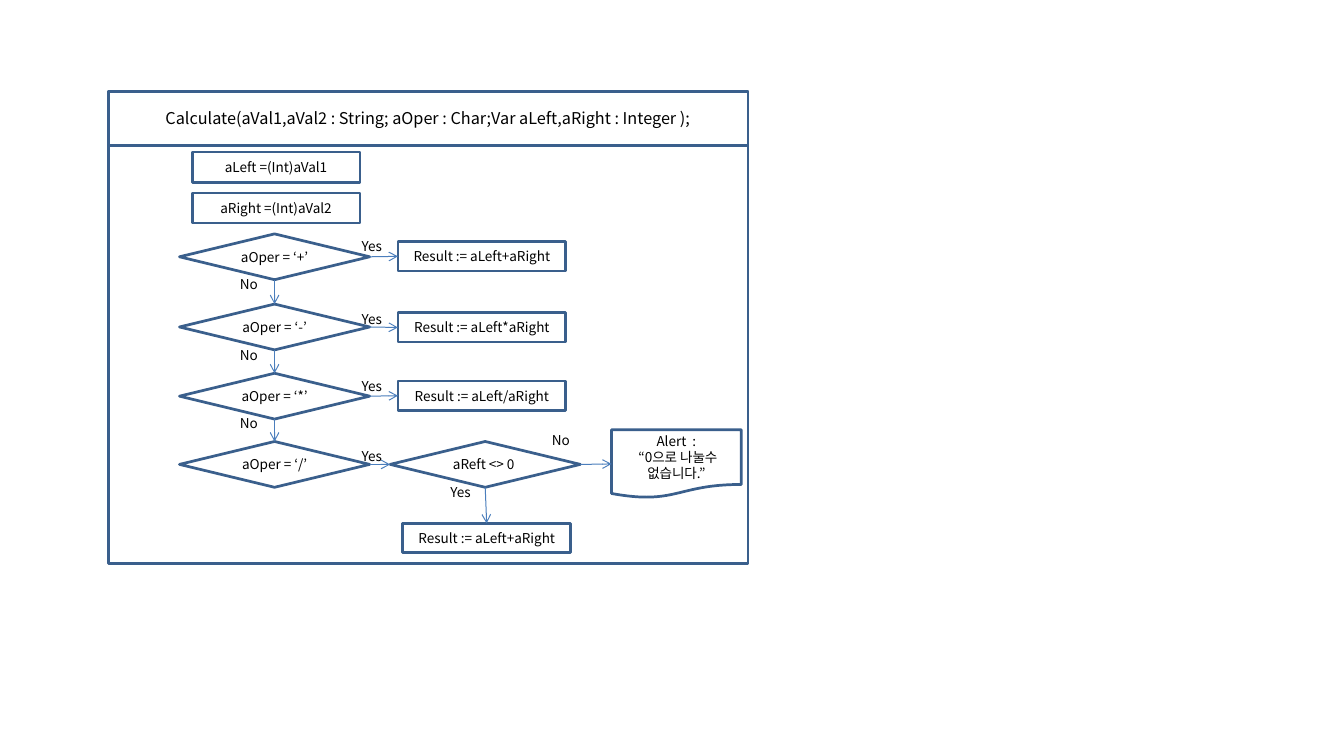
from dataclasses import dataclass

from pptx import Presentation
from pptx.dml.color import RGBColor
from pptx.enum.shapes import MSO_CONNECTOR, MSO_SHAPE
from pptx.enum.text import MSO_ANCHOR, PP_ALIGN
from pptx.oxml.ns import qn
from pptx.util import Emu, Pt

PX = 9144
FONT = "Noto Sans CJK KR"
BLACK, OUTLINE, ARROW = "000000", "3A5F8C", "4B7EBC"
RECT = MSO_SHAPE.RECTANGLE
DECISION = MSO_SHAPE.FLOWCHART_DECISION
DOCUMENT = MSO_SHAPE.FLOWCHART_DOCUMENT
STRAIGHT = MSO_CONNECTOR.STRAIGHT
MIDDLE, CENTER, LEFT_ALIGN = MSO_ANCHOR.MIDDLE, PP_ALIGN.CENTER, PP_ALIGN.LEFT
TOP, LEFT, BOTTOM, RIGHT = range(4)


@dataclass(frozen=True)
class Node:
    key: str
    kind: int
    left: int
    top: int
    width: int
    height: int
    text: str = ""


@dataclass(frozen=True)
class Label:
    left: int
    top: int
    text: str


@dataclass(frozen=True)
class Link:
    start: str
    start_side: int
    end: str
    end_side: int


def decision(key: str, left: int, top: int, text: str) -> Node:
    """Describe a decision diamond."""
    return Node(key, DECISION, left, top, 195, 47, text)


def step(key: str, left: int, top: int, text: str, height: int = 30) -> Node:
    """Describe a process box."""
    return Node(key, RECT, left, top, 172, height, text)


NODES = [
    Node("frame", RECT, 111, 94, 656, 484),
    step("left", 197, 156, "aLeft =(Int)aVal1", 31),
    step("right", 197, 198, "aRight =(Int)aVal2", 31),
    decision("plus", 184, 240, "aOper = ‘+’"),
    decision("minus", 184, 312, "aOper = ‘-’"),
    decision("times", 184, 383, "aOper = ‘*’"),
    decision("divide", 184, 453, "aOper = ‘/’"),
    decision("zero", 400, 453, "aReft <> 0 "),
    step("plus result", 408, 248, "Result := aLeft+aRight"),
    step("minus result", 408, 321, "Result := aLeft*aRight"),
    step("times result", 408, 391, "Result := aLeft/aRight"),
    step("zero result", 413, 537, "Result := aLeft+aRight"),
    Node("alert", DOCUMENT, 627, 441, 133, 70,
         "Alert  :\n “0으로 나눌수\n없습니다.”"),
]
LABELS = [
    *(Label(361, top, "Yes") for top in (239, 314, 383, 455)),
    *(Label(236, top, "No") for top in (278, 351, 421)),
    Label(556, 438, "No"),
    Label(452, 492, "Yes"),
]
OPERATORS = ["plus", "minus", "times", "divide"]
LINKS = [
    *(Link(a, BOTTOM, b, TOP) for a, b in zip(OPERATORS, OPERATORS[1:])),
    *(Link(a, RIGHT, f"{a} result", LEFT) for a in OPERATORS[:3]),
    Link("divide", RIGHT, "zero", LEFT),
    Link("zero", BOTTOM, "zero result", TOP),
    Link("zero", RIGHT, "alert", LEFT),
]


def px(*lengths: int) -> list[Emu]:
    """Turn px lengths into EMU."""
    return [Emu(n * PX) for n in lengths]


def rgb(value: str) -> RGBColor:
    """Turn a hex string into a colour."""
    return RGBColor.from_string(value)


def write(s, text: str, size: int, align: int) -> None:
    """Fill a shape with formatted text."""
    tf = s.text_frame
    tf.text = text
    for p in tf.paragraphs:
        p.alignment = align
        for r in p.runs:
            for name, value in {"name": FONT, "size": Pt(size), "bold": False}.items():
                setattr(r.font, name, value)
            r.font.color.rgb = rgb(BLACK)
            latin = r.font._element.find(qn("a:latin"))
            ea = latin.makeelement(qn("a:ea"), {"typeface": FONT})
            latin.addnext(ea)


def outline(s, text: str, size: int) -> None:
    """Give a shape its outline and centred text."""
    s.fill.background()
    s.line.color.rgb = rgb(OUTLINE)
    s.line.width = Pt(2)
    frame = {"margin_left": 0, "margin_right": 0, "margin_top": 0, "margin_bottom": 0,
             "word_wrap": True, "vertical_anchor": MIDDLE}
    for name, value in frame.items():
        setattr(s.text_frame, name, value)
    if text:
        write(s, text, size, CENTER)


def add_title(slide, text: str) -> None:
    """Place the procedure signature in the title placeholder."""
    s = slide.shapes.title
    s.left, s.top, s.width, s.height = px(111, 94, 656, 55)
    outline(s, text, 12)


def add_node(slide, node: Node):
    """Draw one flowchart node."""
    s = slide.shapes.add_shape(node.kind, *px(node.left, node.top, node.width, node.height))
    s.shadow.inherit = False
    outline(s, node.text, 10)
    return s


def add_label(slide, label: Label) -> None:
    """Draw one branch label."""
    s = slide.shapes.add_textbox(*px(label.left, label.top, 42, 27))
    s.text_frame.word_wrap = False
    write(s, label.text, 10, LEFT_ALIGN)


def add_link(slide, link: Link, shapes: dict) -> None:
    """Join two nodes with an arrow."""
    s = slide.shapes.add_connector(STRAIGHT, 0, 0, 0, 0)
    s.begin_connect(shapes[link.start], link.start_side)
    s.end_connect(shapes[link.end], link.end_side)
    s.line.color.rgb = rgb(ARROW)
    s.line.width = Pt(0.75)
    ln = s.line._get_or_add_ln()
    ln.append(ln.makeelement(qn("a:tailEnd"), {"type": "arrow"}))
    props = s._element.spPr
    props.append(props.makeelement(qn("a:effectLst"), {}))


def main() -> None:
    """Build and save the flowchart slide."""
    prs = Presentation()
    prs.slide_width, prs.slide_height = px(1378, 750)
    slide = prs.slides.add_slide(prs.slide_layouts[5])
    add_title(slide, "Calculate(aVal1,aVal2 : String; aOper : Char;Var aLeft,aRight : Integer );")
    shapes = {node.key: add_node(slide, node) for node in NODES}
    for label in LABELS:
        add_label(slide, label)
    for link in LINKS:
        add_link(slide, link, shapes)
    prs.save("out.pptx")


if __name__ == "__main__":
    main()
